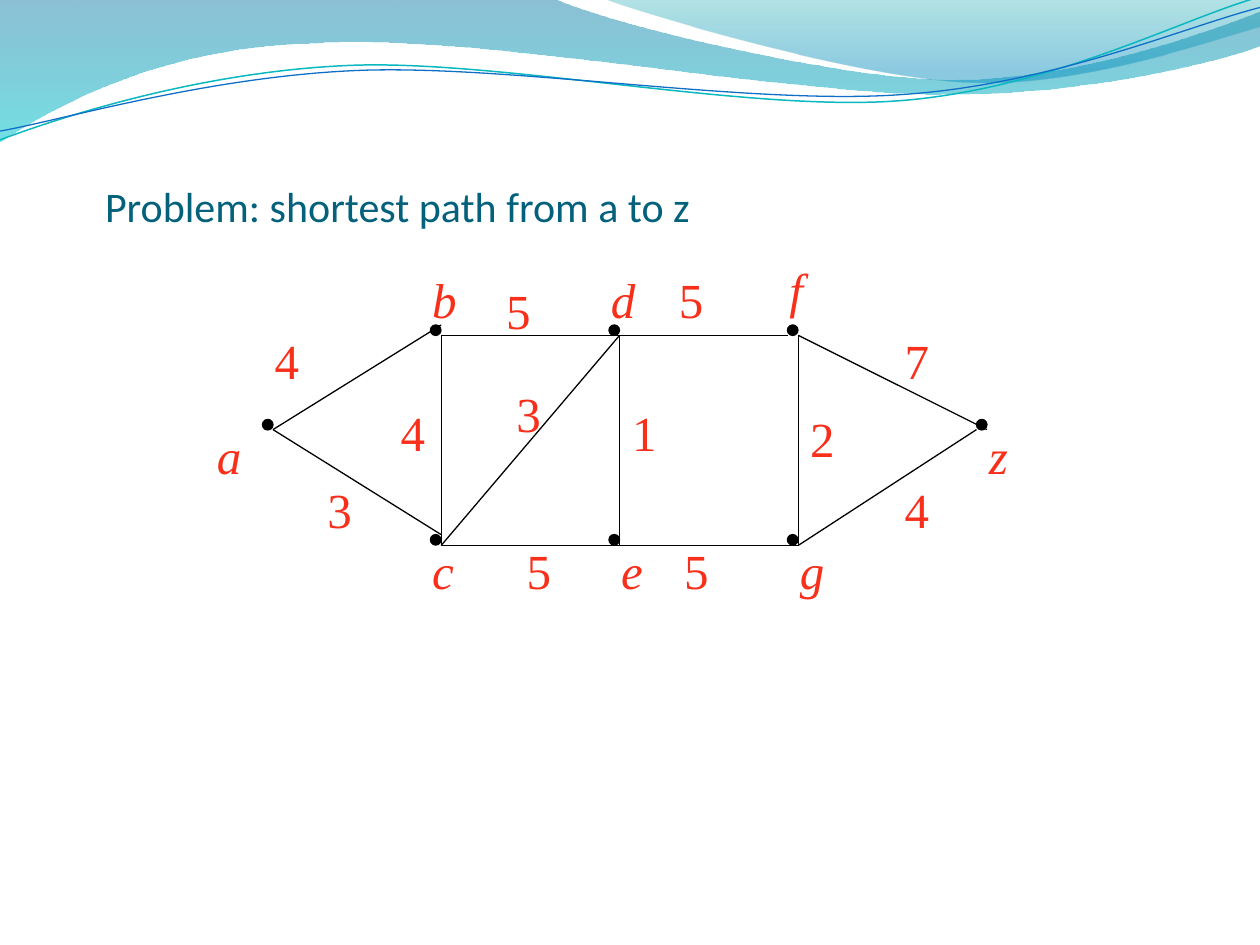
from math import cos, radians, sin

from lxml.etree import SubElement
from pptx import Presentation
from pptx.dml.color import RGBColor
from pptx.enum.shapes import MSO_CONNECTOR, MSO_SHAPE
from pptx.enum.text import MSO_ANCHOR, MSO_AUTO_SIZE, PP_ALIGN
from pptx.oxml.ns import qn
from pptx.util import Pt

BLACK = "000000"
RED = "F82F1A"
WAVE_TILT = 2.7

RIBBON = [
    (0, 0), (316.8, -0.7),
    (342.7, 12.2, 478.1, 45.4, 545.8, 45.4),
    (614.2, 45.4, 689.8, 18.7, 720, 6.5),
    (720.7, 25.9),
    (707.8, 31.7, 626.4, 54.7, 537.1, 54),
    (447.8, 54, 275, 20.2, 185, 24.5),
    (92.9, 25.9, 33.1, 59.8, -0.7, 81.4),
    (0, 0),
]
CREST = [
    (344.9, -0.7),
    (366.5, 7.9, 491, 44.6, 553.7, 46.8),
    (616.3, 49.7, 691.9, 23, 720, 15.1),
    (720, 0),
    (344.9, -0.7),
]
TEAL_WAVE = [
    (0, 79.9),
    (34.6, 67, 113.8, 41, 199.4, 37.4),
    (284.4, 33.8, 427, 64.1, 513.4, 57.6),
    (599.8, 51.1, 675.4, 10.8, 718.6, -1.4),
]
BLUE_WAVE = [
    (0, 74.9),
    (33.8, 69.1, 118.1, 43.9, 203.8, 40.3),
    (290.2, 36.7, 429.8, 60.5, 516.2, 54),
    (601.9, 48.2, 677.5, 15.1, 720, 4.3),
]

START, END = 42, 450
COLUMNS = (138, 240, 342)
TOP, MIDDLE, BOTTOM = 41.7, 95.7, 161.5
DOT = 6
REACH = 6.1
NODES = [
    ("a", START, MIDDLE, 8.9, 95.8),
    ("b", COLUMNS[0], TOP, 131.9, 6.5),
    ("d", COLUMNS[1], TOP, 234, 6.5),
    ("f", COLUMNS[2], TOP, 336, 0.7),
    ("z", END, MIDDLE, 450, 95.8),
    ("c", COLUMNS[0], BOTTOM, 131.9, 161.6),
    ("e", COLUMNS[1], BOTTOM, 239.9, 161.6),
    ("g", COLUMNS[2], BOTTOM, 342, 161.6),
]
LEFT_X, CENTRE_X, RIGHT_X = (column + REACH for column in COLUMNS)
HIGH, MID, LOW = 47.6, 101.5, 167.7
EDGES = [
    (START + DOT, MID, LEFT_X, TOP),
    (START + DOT, MID, LEFT_X, BOTTOM),
    (LEFT_X, HIGH, COLUMNS[2], HIGH),
    (LEFT_X, LOW, RIGHT_X, LOW),
    (RIGHT_X, LOW, END, MID),
    (RIGHT_X, HIGH, END + DOT, MID),
    (LEFT_X, HIGH, LEFT_X, LOW),
    (CENTRE_X, HIGH, CENTRE_X, LOW),
    (RIGHT_X, HIGH, RIGHT_X, LOW),
    (LEFT_X, LOW, CENTRE_X, HIGH),
]
WEIGHTS = [
    ("4", 41.9, 41.5), ("5", 174.2, 13), ("5", 272.9, 6.5),
    ("7", 401.9, 41.5), ("4", 401.9, 126.7), ("2", 347.9, 85.7),
    ("1", 246.2, 82.5), ("5", 275.9, 161.6), ("5", 185.9, 161.6),
    ("3", 72, 126.7), ("3", 180, 71.6), ("4", 113.9, 82.5),
]


def color(value):
    """Turn a hex string into a colour."""
    return RGBColor.from_string(value)


def style_span(span, font_name, size, value, italic=None):
    """Set the font of a run."""
    span.font.name = font_name
    span.font.size = Pt(size)
    span.font.italic = italic
    span.font.color.rgb = color(value)


def turn(segments, centre, degrees):
    """Rotate every point of the segments clockwise around a centre."""
    across, down = cos(radians(degrees)), sin(radians(degrees))
    turned = []
    for segment in segments:
        numbers = []
        for x, y in zip(segment[::2], segment[1::2]):
            dx, dy = x - centre[0], y - centre[1]
            numbers += [centre[0] + dx * across - dy * down,
                        centre[1] + dx * down + dy * across]
        turned.append(tuple(numbers))
    return turned


def add_outline(shapes, box, segments, close):
    """Add a freeform of straight and cubic segments relative to the box."""
    left, top = box
    points = [
        (Pt(left + x), Pt(top + y))
        for segment in segments
        for x, y in zip(segment[::2], segment[1::2])
    ]
    builder = shapes.build_freeform(*points[0])
    builder.add_line_segments(points[1:], close=close)
    outline = builder.convert_to_shape()
    outline.shadow.inherit = False
    steps = iter(list(outline.element.spPr.iter(qn("a:lnTo"))))
    for segment in segments[1:]:
        step = next(steps)
        if len(segment) == 6:
            step.tag = qn("a:cubicBezTo")
            for extra in (next(steps), next(steps)):
                step.append(extra[0])
                extra.getparent().remove(extra)
    return outline


def add_band(page, box, segments, stops):
    """Add a filled band with a translucent vertical gradient."""
    band = add_outline(page.shapes, box, segments, True)
    band.line.fill.background()
    band.fill.gradient()
    band.fill.gradient_angle = 270
    for stop, (position, value, _) in zip(band.fill.gradient_stops, stops):
        stop.position = position
        stop.color.rgb = color(value)
    tints = band.element.spPr.iter(qn("a:srgbClr"))
    for tint, (_, _, opacity) in zip(tints, stops):
        SubElement(tint, qn("a:alpha")).set("val", str(opacity * 1000))


def add_wave(group, box, segments, centre, value, width):
    """Add a tilted wavy line."""
    level = turn(segments, centre, WAVE_TILT)
    wave = add_outline(group.shapes, box, level, False)
    wave.rotation = 360 - WAVE_TILT
    wave.fill.background()
    wave.line.color.rgb = color(value)
    wave.line.width = Pt(width)


def add_header(page, box):
    """Draw the bands and waves along the top."""
    add_band(page, box, RIBBON, [(0, "0074A1", 45), (1, "00C6CF", 55)])
    add_band(page, box, CREST, [(0, "00A1A9", 30), (0.8, "008BBF", 45)])
    group = page.shapes.add_group_shape()
    add_wave(group, box, TEAL_WAVE, (359.3, 41.4), "0AB8BF", 0.85)
    add_wave(group, box, BLUE_WAVE, (359.6, 42.5), "0F6FC6", 0.75)


def add_title(page, box):
    """Fill and place the title placeholder."""
    title = page.shapes.title
    title.left, title.top, title.width, title.height = map(Pt, box)
    frame = title.text_frame
    frame.margin_left = frame.margin_right = frame.margin_bottom = 0
    frame.margin_top = Pt(3.6)
    frame.vertical_anchor = MSO_ANCHOR.BOTTOM
    para = frame.paragraphs[0]
    para.alignment = PP_ALIGN.LEFT
    span = para.add_run()
    span.text = "Problem: shortest path from a to z"
    style_span(span, "Calibri", 24, "04617B")


def add_label(group, box, text, italic=None):
    """Add a red node name or edge weight."""
    label = group.shapes.add_textbox(*map(Pt, box))
    frame = label.text_frame
    frame.word_wrap = True
    frame.auto_size = MSO_AUTO_SIZE.SHAPE_TO_FIT_TEXT
    span = frame.paragraphs[0].add_run()
    span.text = text
    style_span(span, "Times New Roman", 28, RED, italic)


def add_graph(page, box):
    """Draw the weighted graph with its names and weights."""
    left, top = box
    group = page.shapes.add_group_shape()
    for _, x, y, _, _ in NODES:
        dot = group.shapes.add_shape(
            MSO_SHAPE.OVAL, Pt(left + x), Pt(top + y), Pt(DOT), Pt(DOT))
        dot.shadow.inherit = False
        dot.fill.solid()
        dot.fill.fore_color.rgb = color(BLACK)
        dot.line.color.rgb = color(BLACK)
        dot.line.width = Pt(0.75)
    for x1, y1, x2, y2 in EDGES:
        edge = group.shapes.add_connector(
            MSO_CONNECTOR.STRAIGHT,
            Pt(left + x1), Pt(top + y1), Pt(left + x2), Pt(top + y2))
        edge.line.color.rgb = color(BLACK)
        edge.line.width = Pt(0.75)
        SubElement(edge.element.spPr, qn("a:effectLst"))
    for name, _, _, x, y in NODES:
        add_label(page, (left + x, top + y, 33, 41), name, True)
    for weight, x, y in WEIGHTS:
        add_label(page, (left + x, top + y, 30, 41), weight)


def main():
    """Build and save the deck."""
    deck = Presentation()
    deck.slide_width, deck.slide_height = Pt(720), Pt(540)
    page = deck.slides.add_slide(deck.slide_layouts[5])
    add_header(page, (0, 0))
    add_title(page, (60, 84, 606, 48))
    add_graph(page, (108, 144))
    deck.save("out.pptx")


if __name__ == "__main__":
    main()
